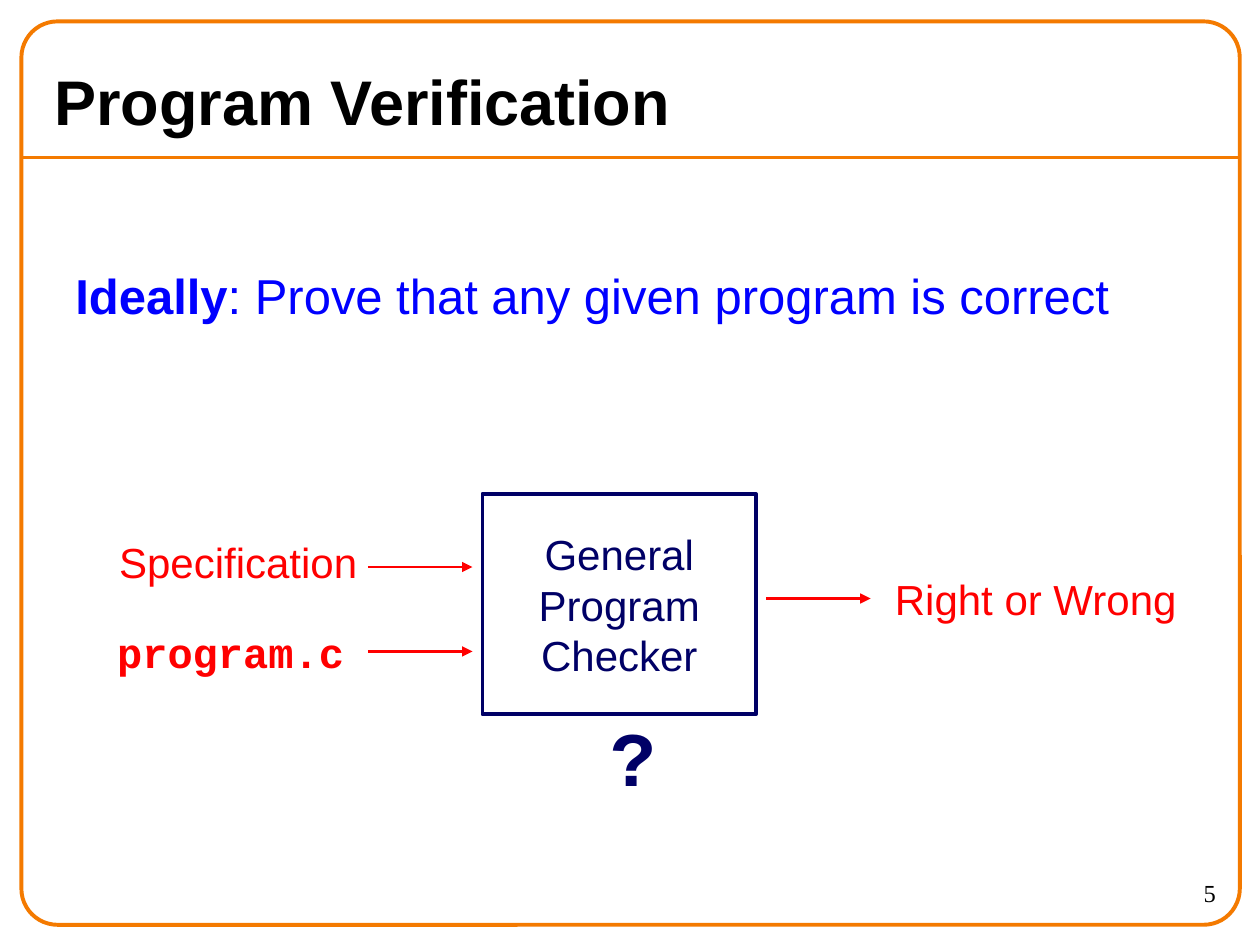
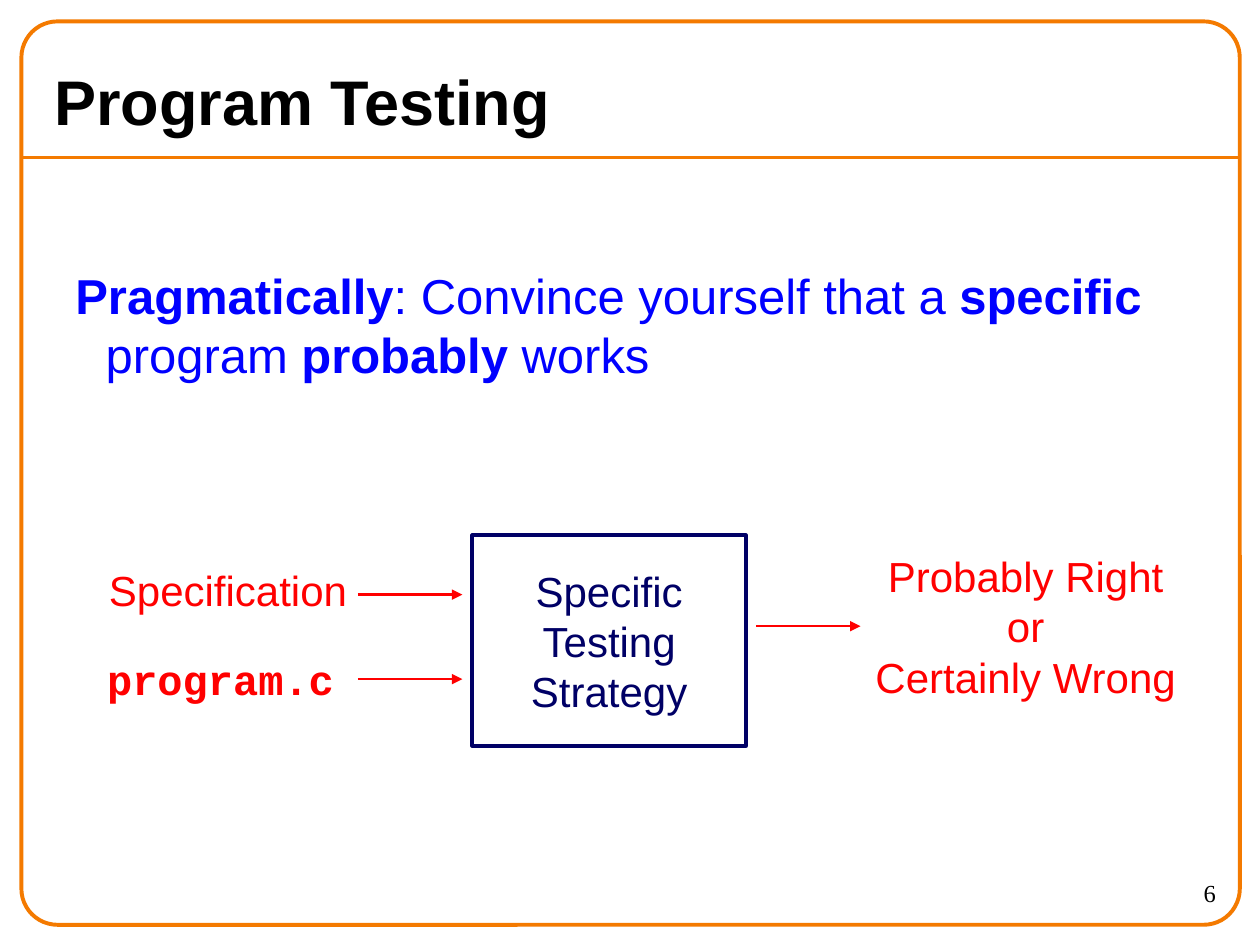
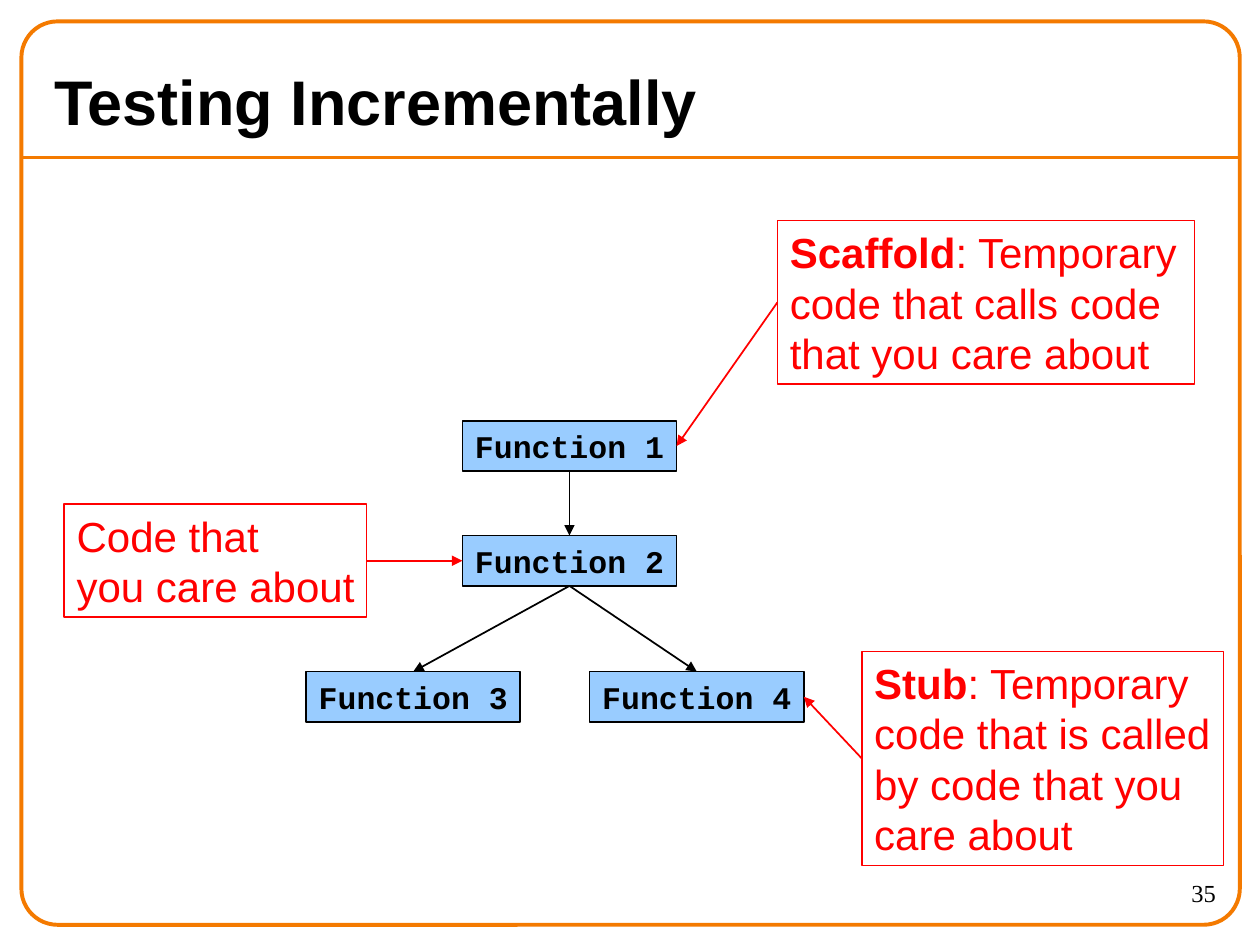
from dataclasses import dataclass

from lxml.etree import SubElement
from pptx import Presentation
from pptx.dml.color import RGBColor
from pptx.enum.shapes import MSO_CONNECTOR as Conn, MSO_SHAPE as Shape
from pptx.enum.text import MSO_ANCHOR as Anchor, MSO_AUTO_SIZE as AutoSize, PP_ALIGN as Align
from pptx.oxml.ns import qn
from pptx.util import Inches, Pt


@dataclass(frozen=True)
class Theme:
    black: str = "000000"
    white: str = "FFFFFF"
    orange: str = "F47A00"
    navy: str = "000066"
    blue: str = "0000FF"
    red: str = "FF0000"
    sky: str = "99CCFF"
    sans: str = "Arial"
    mono: str = "Courier New"
    serif: str = "Times New Roman"
    title: float = 36
    statement: float = 28
    label: float = 24
    code: float = 18
    number: float = 14
    question: float = 44


T = Theme()


@dataclass(frozen=True)
class Style:
    """Look of a piece of text and of the box around it."""
    size: float
    color: str
    font: str = T.sans
    bold: bool = False
    align: Align = Align.CENTER
    anchor: Anchor = Anchor.MIDDLE
    wrap: bool = False
    fill: str | None = None
    line: str | None = None
    weight: float = 1


TITLE = Style(T.title, T.black, bold=True, align=Align.LEFT, wrap=True)
NUMBER = Style(T.number, T.black, T.serif, align=Align.RIGHT, anchor=Anchor.TOP, wrap=True)
STATEMENT = Style(T.statement, T.blue, align=Align.LEFT, anchor=Anchor.TOP, wrap=True)
LABEL = Style(T.label, T.red)
FILE_NAME = Style(T.label, T.red, T.mono, bold=True)
CHECKER = Style(T.label, T.navy, line=T.navy, weight=2.25)
QUESTION = Style(T.question, T.navy, T.mono, bold=True)
FUNCTION = Style(T.code, T.black, T.mono, bold=True, fill=T.sky, line=T.black)
NOTE = Style(T.label, T.red, align=Align.LEFT, anchor=Anchor.TOP, fill=T.white, line=T.red)


@dataclass(frozen=True)
class Box:
    text: str
    left: float
    top: float
    width: float
    height: float
    style: Style

    @property
    def area(self) -> tuple:
        return tuple(map(Inches, (self.left, self.top, self.width, self.height)))


@dataclass(frozen=True)
class Check:
    """A tool with two inputs and one result; x is its left side, y its first input."""
    title: str
    number: int
    statement: str
    tool: str
    result: str
    x: float
    y: float
    top: float
    height: float


CHECKS = (
    Check("Program Verification", 5, "**Ideally**: Prove that any given program is correct",
          "General\nProgram\nChecker", "Right or Wrong", 3.83, 4.5, 3.92, 1.75),
    Check("Program Testing", 6,
          "**Pragmatically**: Convince yourself that a **specific** program **probably** works",
          "Specific\nTesting\nStrategy", "Probably Right\nor\nCertainly Wrong",
          3.75, 4.72, 4.25, 1.67),
)

CALL_BOXES = {
    "f1": Box("Function 1", 3.67, 3.34, 1.7, 0.4, FUNCTION),
    "f2": Box("Function 2", 3.67, 4.25, 1.7, 0.4, FUNCTION),
    "f3": Box("Function 3", 2.43, 5.33, 1.7, 0.4, FUNCTION),
    "f4": Box("Function 4", 4.68, 5.33, 1.7, 0.4, FUNCTION),
    "scaffold": Box("**Scaffold**: Temporary\ncode that calls code\nthat you care about",
                    6.17, 1.75, 3.31, 1.3, NOTE),
    "stub": Box("**Stub**: Temporary\ncode that is called\nby code that you\ncare about",
                6.84, 5.17, 2.87, 1.7, NOTE),
    "code": Box("Code that\nyou care about", 0.51, 4, 2.4, 0.9, NOTE),
}
TOP, LEFT, BOTTOM, RIGHT = range(4)  # connection sites of a rectangle
CALL_ARROWS = (
    ("f1", BOTTOM, "f2", TOP, T.black),
    ("f2", BOTTOM, "f3", TOP, T.black),
    ("f2", BOTTOM, "f4", TOP, T.black),
    ("scaffold", LEFT, "f1", RIGHT, T.red),
    ("stub", LEFT, "f4", RIGHT, T.red),
    ("code", RIGHT, "f2", LEFT, T.red),
)


def rgb(color: str) -> RGBColor:
    return RGBColor.from_string(color)


def write(tf, text: str, style: Style) -> None:
    """Fill a text frame; newlines split paragraphs and ** marks bold words."""
    tf.auto_size = AutoSize.NONE
    tf.word_wrap = style.wrap
    tf.vertical_anchor = style.anchor
    for i, line in enumerate(text.split("\n")):
        p = tf.add_paragraph() if i else tf.paragraphs[0]
        p.alignment = style.align
        p.font.name, p.font.size = style.font, Pt(style.size)
        p.font.bold = style.bold
        p.font.color.rgb = rgb(style.color)
        for j, part in enumerate(line.split("**")):
            if part:
                r = p.add_run()
                r.text = part
                if j % 2:
                    r.font.bold = True


def add_box(slide, box: Box):
    style = box.style
    if not (style.fill or style.line):
        sp = slide.shapes.add_textbox(*box.area)
    else:
        sp = slide.shapes.add_shape(Shape.RECTANGLE, *box.area)
        sp.shadow.inherit = False
        if style.fill:
            sp.fill.solid()
            sp.fill.fore_color.rgb = rgb(style.fill)
        else:
            sp.fill.background()
        sp.line.color.rgb = rgb(style.line)
        sp.line.width = Pt(style.weight)
    write(sp.text_frame, box.text, style)
    return sp


def add_label(slide, text: str, x: float, y: float, style: Style) -> None:
    """Add a label centred on a point."""
    width, height = 2.6, 0.1 + 0.4 * (text.count("\n") + 1)
    add_box(slide, Box(text, x - width / 2, y - height / 2, width, height, style))


def add_line(slide, x1: float, y1: float, x2: float, y2: float,
             color: str, weight: float, arrow: bool = True):
    line = slide.shapes.add_connector(Conn.STRAIGHT, *map(Inches, (x1, y1, x2, y2)))
    line.line.color.rgb = rgb(color)
    line.line.width = Pt(weight)
    if arrow:
        SubElement(line.line._get_or_add_ln(), qn("a:tailEnd"), type="triangle")
    SubElement(line._element.spPr, qn("a:effectLst"))
    return line


def add_slide(prs, title: str, number: int):
    """Add a slide with its frame, rule, title and number."""
    slide = prs.slides.add_slide(prs.slide_layouts[5])
    add_line(slide, 0.17, 1.25, 9.83, 1.25, T.orange, 2.25, arrow=False)
    frame = slide.shapes.add_shape(Shape.ROUNDED_RECTANGLE, *map(Inches, (0.17, 0.17, 9.67, 7.17)))
    frame.adjustments[0] = 0.04
    frame.shadow.inherit = False
    frame.fill.background()
    frame.line.color.rgb = rgb(T.orange)
    frame.line.width = Pt(2.25)
    sp = slide.shapes.title
    sp.left, sp.top, sp.width, sp.height = map(Inches, (0.33, 0.42, 9.33, 0.75))
    write(sp.text_frame, title, TITLE)
    add_box(slide, Box(str(number), 8.75, 6.92, 1, 0.42, NUMBER))
    return slide


def add_check_slide(prs, check: Check):
    slide = add_slide(prs, check.title, check.number)
    sp = add_box(slide, Box(check.statement, 0.5, 2.06, 9.25, 1.1, STATEMENT))
    pPr = sp.text_frame.paragraphs[0]._p.get_or_add_pPr()
    pPr.set("marL", str(Inches(0.24)))
    pPr.set("indent", str(-Inches(0.24)))

    x, y = check.x, check.y
    add_box(slide, Box(check.tool, x, check.top, 2.17, check.height, CHECKER))
    add_label(slide, "Specification", x - 1.94, y - 0.04, LABEL)
    add_label(slide, "program.c", x - 2, y + 0.67, FILE_NAME)
    add_label(slide, check.result, x + 4.39, y + 0.25, LABEL)
    for dx, dy in ((-0.91, 0), (-0.91, 0.67), (2.25, 0.25)):
        add_line(slide, x + dx, y + dy, x + dx + 0.83, y + dy, T.red, 1.5)
    return slide


def add_call_slide(prs) -> None:
    slide = add_slide(prs, "Testing Incrementally", 35)
    shapes = {name: add_box(slide, box) for name, box in CALL_BOXES.items()}
    for start, start_site, end, end_site, color in CALL_ARROWS:
        arrow = add_line(slide, 0, 0, 1, 1, color, 1)
        arrow.begin_connect(shapes[start], start_site)
        arrow.end_connect(shapes[end], end_site)


def main() -> None:
    prs = Presentation()
    prs.slide_width, prs.slide_height = Inches(10), Inches(7.5)
    verification, _ = [add_check_slide(prs, check) for check in CHECKS]
    add_box(verification, Box("?", 4.75, 5.58, 0.56, 0.84, QUESTION))
    add_call_slide(prs)
    prs.save("out.pptx")


if __name__ == "__main__":
    main()
